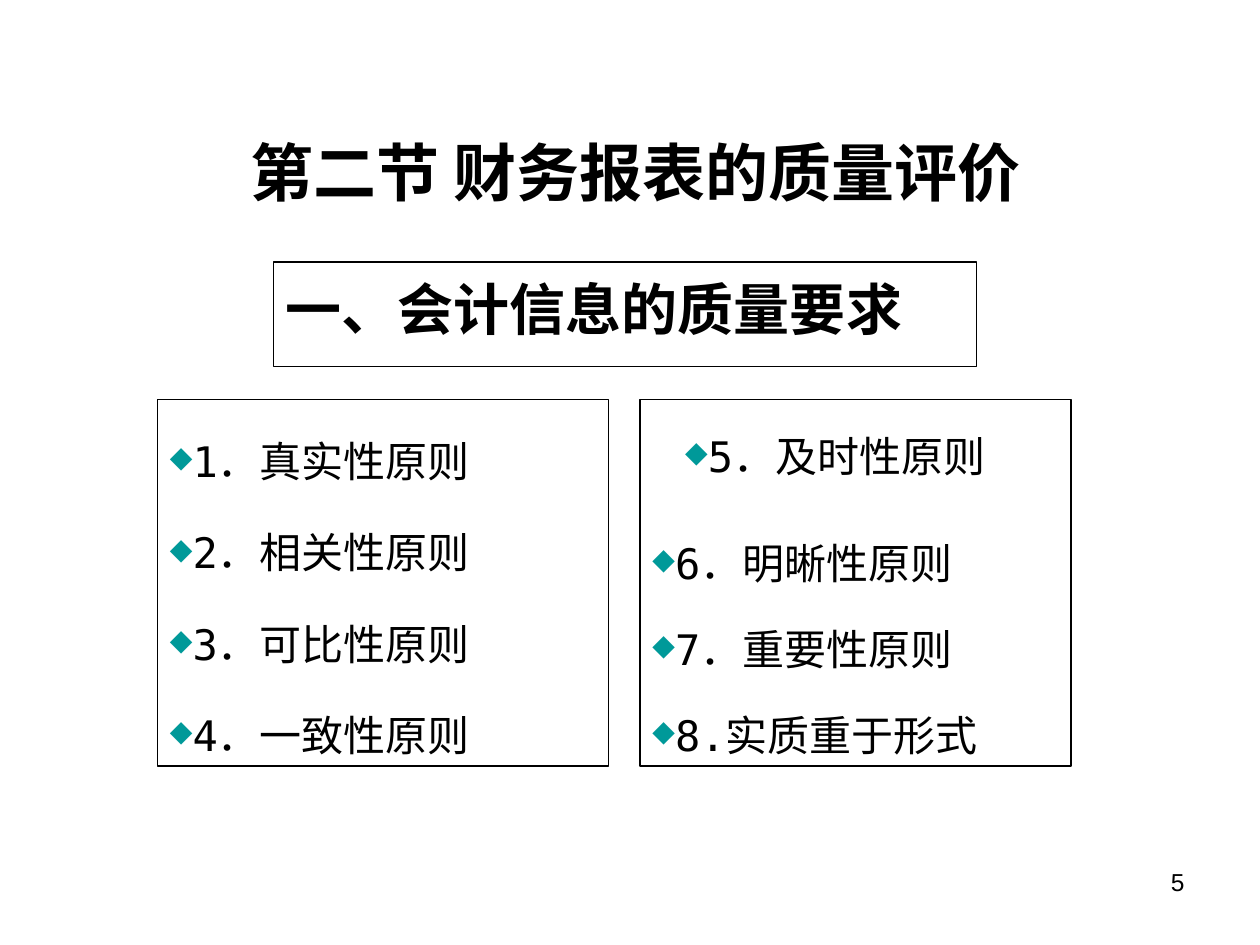
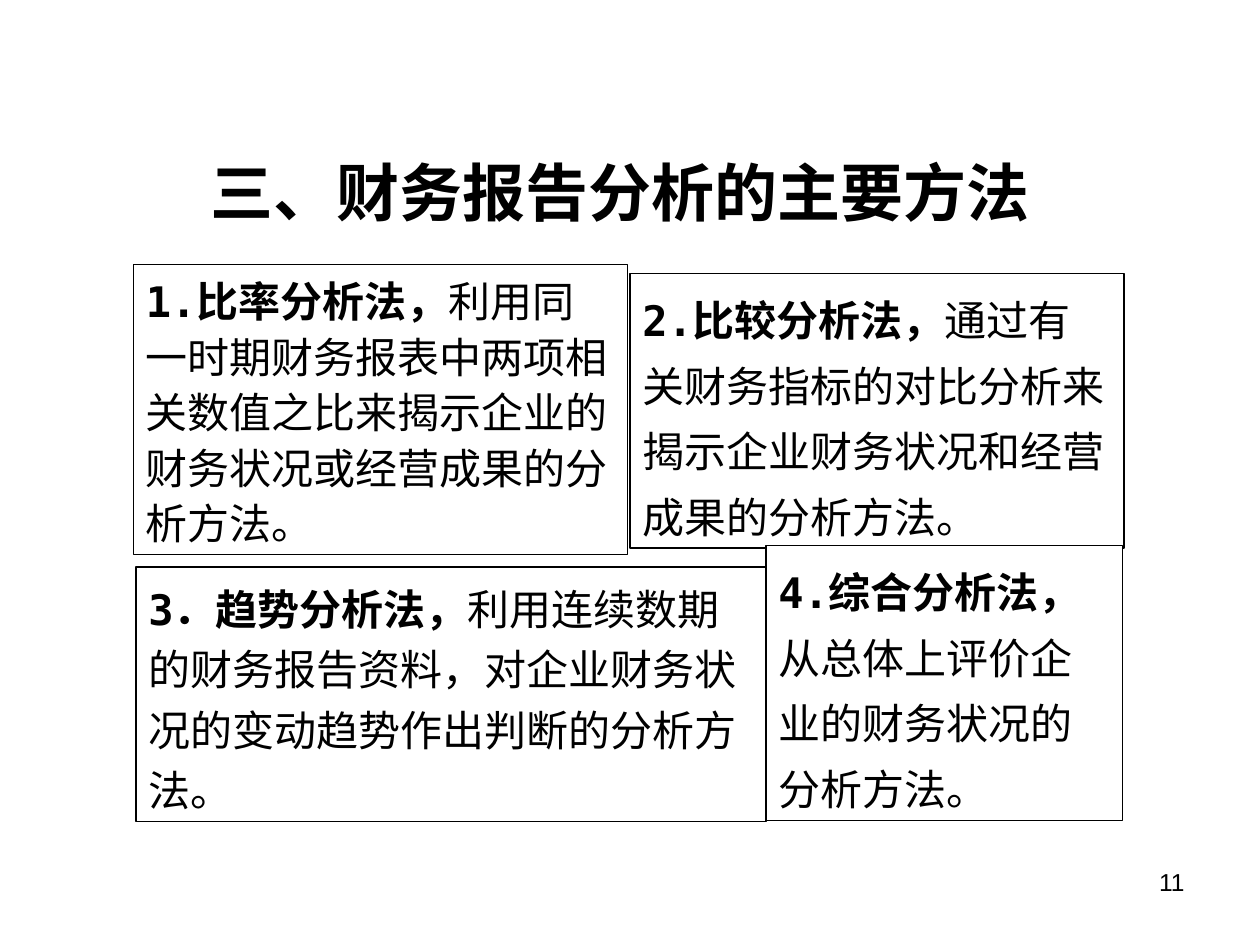
from lxml.etree import SubElement as Sub
from pptx import Presentation as Deck
from pptx.dml.color import RGBColor as Rgb
from pptx.enum.shapes import MSO_SHAPE as Kind
from pptx.enum.text import MSO_ANCHOR as Anchor, MSO_AUTO_SIZE as Fit, PP_ALIGN as Align
from pptx.oxml.ns import qn
from pptx.util import Pt

PX = 9144
HUES = {"ink": "000000", "paper": "FFFFFF", "mark": "009999"}
MONO = "DejaVu Sans Mono"


def hue(name):
    return Rgb.from_string(HUES[name])


def bullet(para, left):
    props = para._p.get_or_add_pPr()
    props.set("marL", str(left * PX))
    props.set("indent", "0")
    tint = Sub(props, qn("a:buClr"))
    Sub(tint, qn("a:srgbClr"), val=HUES["mark"])
    Sub(props, qn("a:buSzPct"), val="70000")
    Sub(props, qn("a:buChar"), char="◆")


def write(frame, text, lead="", size=24, font=MONO, bold=False,
          align=Align.LEFT, gap=1.0, mark=None, more=False):
    para = frame.add_paragraph() if more else frame.paragraphs[0]
    para.alignment = align
    para.line_spacing = gap
    para.space_before = Pt(6 if more else 0)
    if mark is not None:
        bullet(para, mark)
    for part, heavy in ((lead, True), (text, bold)):
        if part:
            run = para.add_run()
            run.text = part
            run.font.name = font
            run.font.size = Pt(size)
            run.font.bold = heavy
            run.font.color.rgb = hue("ink")


class Page:
    def __init__(self, deck):
        self.slide = deck.slides.add_slide(deck.slide_layouts[5])

    def title(self, text, place, gap):
        head = self.slide.shapes.title
        head.left, head.top, head.width, head.height = (n * PX for n in place)
        frame = head.text_frame
        frame.auto_size = Fit.NONE
        frame.vertical_anchor = Anchor.MIDDLE
        write(frame, text, size=36, bold=True, align=Align.CENTER, gap=gap)

    def box(self, place, grow=True):
        shape = self.slide.shapes.add_shape(Kind.RECTANGLE, *(n * PX for n in place))
        shape.shadow.inherit = False
        shape.fill.solid()
        shape.fill.fore_color.rgb = hue("paper")
        shape.line.color.rgb = hue("ink")
        shape.line.width = Pt(0.75)
        frame = shape.text_frame
        frame.word_wrap = True
        frame.vertical_anchor = Anchor.TOP
        frame.auto_size = Fit.SHAPE_TO_FIT_TEXT if grow else Fit.NONE
        return frame

    def items(self, place, rows):
        frame = self.box(place)
        for spot, (text, gap, left) in enumerate(rows):
            write(frame, text, gap=gap, mark=left, more=spot > 0)

    def number(self, text):
        note = self.slide.shapes.add_textbox(*(n * PX for n in (717, 683, 233, 52)))
        note.text_frame.word_wrap = True
        write(note.text_frame, text, size=14, font="Arial", align=Align.RIGHT)


def quality(deck):
    page = Page(deck)
    page.title("第二节 财务报表的质量评价", (117, 83, 775, 100), 1.1)
    write(page.box((217, 208, 558, 83), grow=False), "一、会计信息的质量要求",
          size=32, bold=True, gap=1.1)
    names = ("1．真实性原则", "2．相关性原则", "3．可比性原则", "4．一致性原则")
    page.items((125, 317, 358, 291), [(name, 1.6, 0) for name in names])
    page.items((508, 317, 342, 291), [
        ("5．及时性原则", 1.5, 26),
        ("6．明晰性原则", 1.9, 0),
        ("7．重要性原则", 1.5, 0),
        ("8.实质重于形式", 1.5, 0),
    ])
    page.number("5")


def methods(deck):
    page = Page(deck)
    page.title("三、财务报告分析的主要方法", (92, 83, 800, 108), 1.5)
    cards = (
        ((106, 210, 392, 230), 1.1, "1.比率分析法，",
         "利用同一时期财务报表中两项相关数值之比来揭示企业的财务状况或经营成果的分析方法。"),
        ((500, 217, 392, 218), 1.3, "2.比较分析法，",
         "通过有关财务指标的对比分析来揭示企业财务状况和经营成果的分析方法。"),
        ((108, 450, 500, 202), 1.2, "3．趋势分析法，",
         "利用连续数期的财务报告资料，对企业财务状况的变动趋势作出判断的分析方法。"),
        ((608, 433, 283, 218), 1.3, "4.综合分析法，",
         "从总体上评价企业的财务状况的分析方法。"),
    )
    for place, gap, lead, text in cards:
        write(page.box(place), text, lead=lead, gap=gap)
    page.number("11")


def main():
    deck = Deck()
    deck.slide_width, deck.slide_height = 1000 * PX, 750 * PX
    quality(deck)
    methods(deck)
    deck.save("out.pptx")


if __name__ == "__main__":
    main()
